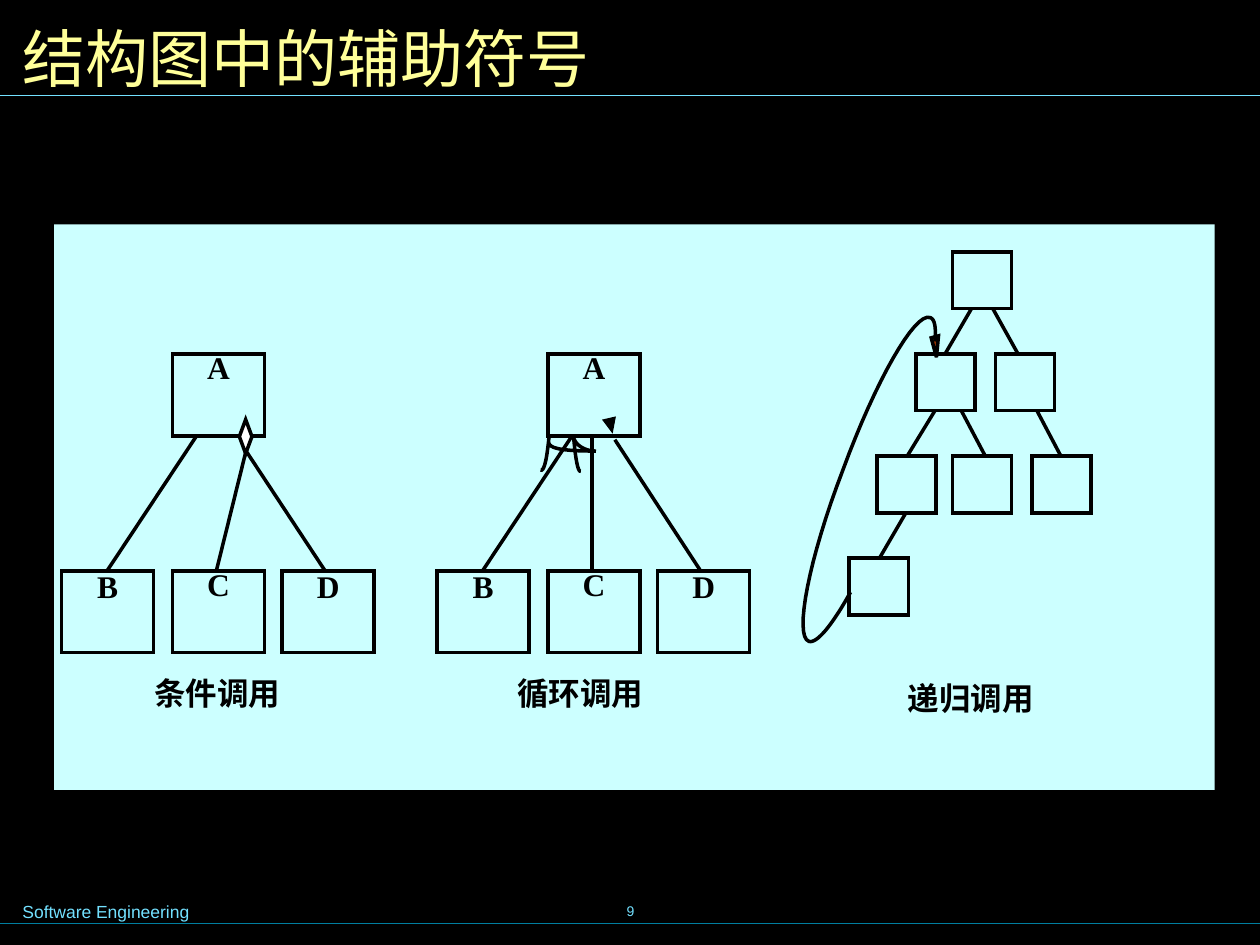
"""Build a slide on the auxiliary symbols of structure charts."""
from dataclasses import dataclass

from lxml.etree import SubElement
from pptx import Presentation
from pptx.dml.color import RGBColor
from pptx.enum.shapes import MSO_CONNECTOR, MSO_SHAPE
from pptx.enum.text import MSO_ANCHOR, PP_ALIGN
from pptx.oxml.ns import qn
from pptx.util import Inches, Pt


@dataclass(frozen=True)
class Theme:
    background: str = "000000"
    panel: str = "CCFFFF"
    title: str = "FFFF99"
    accent: str = "73E1FF"
    footer_rule: str = "007E9F"
    ink: str = "000000"
    diamond: str = "FFFFFF"
    arrow: str = "993300"
    title_font: str = "Arial Narrow"
    footer_font: str = "Arial"
    body_font: str = "Times New Roman"
    title_size: float = 36
    body_size: float = 18
    footer_size: float = 10
    number_size: float = 8
    rule: float = 0.75
    stroke: float = 2


THEME = Theme()

TITLE = "结构图中的辅助符号"
FOOTER = "Software Engineering"
NUMBER = "9"
RULES = [(0.76, 10, THEME.accent), (7.33, 10.04, THEME.footer_rule)]

MODULE_SIZE = (0.73, 0.65)
MODULES = [("A", 1.37, 2.81, 0.64), ("B", 0.49, 4.53, 0.72),
           ("C", 1.37, 4.53, 0.64), ("D", 2.24, 4.53, 0.72)]
CALL_CHARTS = [
    (0, [(1.56, 3.46, 0.85, 4.53), (1.72, 4.52, 1.95, 3.59), (1.96, 3.59, 2.58, 4.53)]),
    (2.98, [(4.54, 3.46, 3.83, 4.53), (4.7, 4.53, 4.7, 3.46), (4.88, 3.49, 5.56, 4.53)]),
]
CAPTIONS = [("条件调用", 0.61, 5.3), ("循环调用", 3.49, 5.3), ("递归调用", 6.59, 5.34)]

NODE_SIZE = (0.47, 0.45)
NODE_TOP, LEVEL_STEP = 2, 0.81
LEVELS = [[7.56], [7.27, 7.9], [6.96, 7.56, 8.19], [6.74]]
TREE_EDGES = [(0, 7.71, 7.5), (0, 7.88, 8.08), (1, 7.42, 7.2),
              (1, 7.63, 7.82), (1, 8.23, 8.42), (2, 7.19, 6.98)]

LOOP_CURVE = [(4.61, 3.74),
              (4.57, 3.76), (4.55, 3.41), (4.55, 3.45),
              (4.55, 3.52), (4.63, 3.58), (4.73, 3.58),
              (4.28, 3.58), (4.36, 3.52), (4.36, 3.45),
              (4.36, 3.41), (4.34, 3.76), (4.29, 3.73)]
RECURSION_CURVE = [(7.42, 2.71),
                   (7.43, 2.6), (7.42, 2.53), (7.38, 2.52),
                   (7.26, 2.48), (6.95, 3.02), (6.69, 3.73),
                   (6.42, 4.43), (6.3, 5.05), (6.42, 5.09),
                   (6.48, 5.11), (6.6, 4.97), (6.75, 4.7)]


def paint(shape, fill=None, line=None):
    shape.shadow.inherit = False
    if fill:
        shape.fill.solid()
        shape.fill.fore_color.rgb = RGBColor.from_string(fill)
    else:
        shape.fill.background()
    if line:
        shape.line.color.rgb = RGBColor.from_string(line)
        shape.line.width = Pt(THEME.stroke)
        SubElement(shape._element.spPr.find(qn("a:ln")), qn("a:miter"), lim="800000")
    else:
        shape.line.fill.background()


def add_figure(page, kind, place, fill=None, line=THEME.ink, rotation=0):
    shape = page.shapes.add_shape(kind, *map(Inches, place))
    paint(shape, fill, line)
    shape.rotation = rotation
    return shape


def add_line(page, ends, color=THEME.ink, width=THEME.stroke):
    line = page.shapes.add_connector(MSO_CONNECTOR.STRAIGHT, *map(Inches, ends))
    line.line.color.rgb = RGBColor.from_string(color)
    line.line.width = Pt(width)
    SubElement(line._element.spPr, qn("a:effectLst"))


def write(shape, text, font, size, color, align=PP_ALIGN.CENTER,
          anchor=MSO_ANCHOR.TOP, bold=False, spacing=None):
    frame = shape.text_frame
    frame.word_wrap = True
    frame.vertical_anchor = anchor
    para = frame.paragraphs[0]
    para.alignment = align
    para.line_spacing = spacing
    span = para.add_run()
    span.text = text
    span.font.name = font
    span.font.size = Pt(size)
    span.font.bold = bold
    span.font.color.rgb = RGBColor.from_string(color)


def add_text(page, place, *style, **options):
    box = page.shapes.add_textbox(*map(Inches, place))
    write(box, *style, **options)


def write_body(shape, text, spacing=None):
    write(shape, text, THEME.body_font, THEME.body_size, THEME.ink,
          bold=True, spacing=spacing)


def add_curve(page, points, steps=16):
    trace = [points[0]]
    for first in range(0, len(points) - 1, 3):
        a, b, c, d = points[first:first + 4]
        for step in range(1, steps + 1):
            t = step / steps
            u = 1 - t
            trace.append(tuple(
                u**3 * p + 3 * u**2 * t * q + 3 * u * t**2 * r + t**3 * s
                for p, q, r, s in zip(a, b, c, d)))
    start, *rest = [(Inches(x), Inches(y)) for x, y in trace]
    builder = page.shapes.build_freeform(*start)
    builder.add_line_segments(rest, close=False)
    paint(builder.convert_to_shape(), line=THEME.ink)


def add_frame(page):
    for y, right, color in RULES:
        add_line(page, (0, y, right, y), color, THEME.rule)
    add_text(page, (0.08, 0.08, 9.84, 0.75), TITLE, THEME.title_font, THEME.title_size,
             THEME.title, align=PP_ALIGN.LEFT, anchor=MSO_ANCHOR.MIDDLE)
    add_text(page, (0.08, 7.1, 2.95, 0.27), FOOTER, THEME.footer_font,
             THEME.footer_size, THEME.accent, align=PP_ALIGN.LEFT)
    add_text(page, (3.42, 6.98, 3.17, 0.5), NUMBER, THEME.footer_font,
             THEME.number_size, THEME.accent, anchor=MSO_ANCHOR.MIDDLE)
    add_figure(page, MSO_SHAPE.RECTANGLE, (0.43, 1.78, 9.21, 4.49), THEME.panel, None)


def add_call_charts(page):
    for shift, calls in CALL_CHARTS:
        for name, left, top, spacing in MODULES:
            module = add_figure(page, MSO_SHAPE.RECTANGLE, (left + shift, top, *MODULE_SIZE))
            write_body(module, name, spacing)
        for ends in calls:
            add_line(page, ends)
    add_figure(page, MSO_SHAPE.DIAMOND, (1.9, 3.33, 0.1, 0.27), THEME.diamond)
    add_curve(page, LOOP_CURVE)
    add_figure(page, MSO_SHAPE.ISOSCELES_TRIANGLE, (4.81, 3.33, 0.07, 0.08),
               THEME.ink, rotation=167)


def add_recursion_chart(page):
    for level, lefts in enumerate(LEVELS):
        for left in lefts:
            top = NODE_TOP + level * LEVEL_STEP
            add_figure(page, MSO_SHAPE.RECTANGLE, (left, top, *NODE_SIZE))
    for level, start, end in TREE_EDGES:
        top = NODE_TOP + level * LEVEL_STEP
        add_line(page, (start, top + NODE_SIZE[1], end, top + LEVEL_STEP))
    head = add_figure(page, MSO_SHAPE.ISOSCELES_TRIANGLE, (7.41, 2.67, 0.06, 0.16),
                      THEME.arrow, rotation=165)
    head.adjustments[0] = 1
    add_curve(page, RECURSION_CURVE)


def main():
    deck = Presentation()
    deck.slide_width, deck.slide_height = Inches(10), Inches(7.5)
    page = deck.slides.add_slide(deck.slide_layouts[6])
    page.background.fill.solid()
    page.background.fill.fore_color.rgb = RGBColor.from_string(THEME.background)
    add_frame(page)
    add_call_charts(page)
    add_recursion_chart(page)
    for text, left, top in CAPTIONS:
        box = page.shapes.add_textbox(*map(Inches, (left, top, 2.23, 0.91)))
        write_body(box, text)
    deck.save("out.pptx")


if __name__ == "__main__":
    main()
